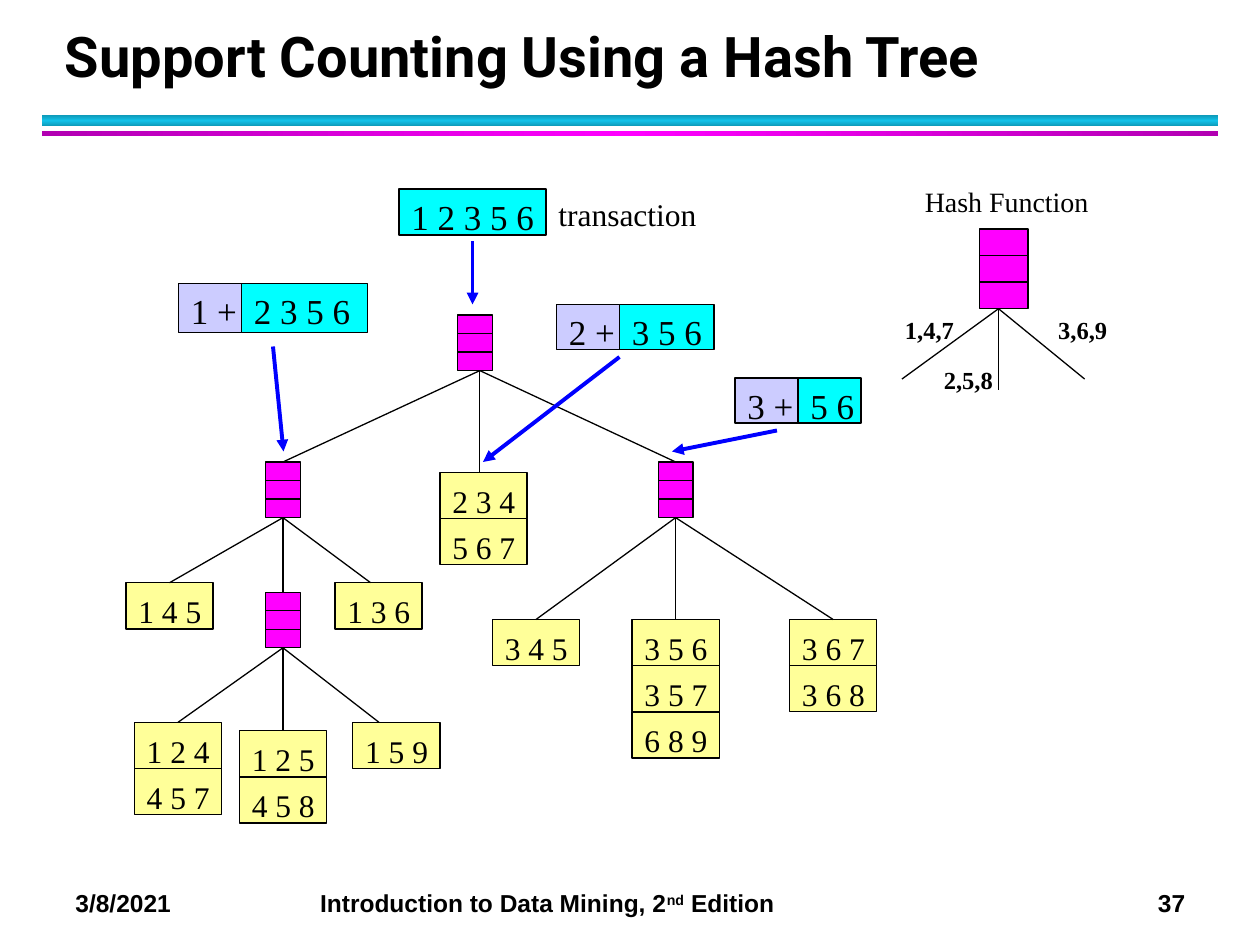
import copy

import pptx
import pptx.dml.color
import pptx.enum.shapes
import pptx.enum.text
import pptx.oxml
import pptx.oxml.ns
import pptx.util

BLACK = pptx.dml.color.RGBColor(0x00, 0x00, 0x00)
BLUE = pptx.dml.color.RGBColor(0x00, 0x00, 0xFF)
CYAN = pptx.dml.color.RGBColor(0x00, 0xFF, 0xFF)
LAVENDER = pptx.dml.color.RGBColor(0xCC, 0xCC, 0xFF)
MAGENTA = pptx.dml.color.RGBColor(0xFF, 0x00, 0xFF)
PURPLE = pptx.dml.color.RGBColor(0xB2, 0x00, 0xB2)
YELLOW = pptx.dml.color.RGBColor(0xFF, 0xFF, 0x99)
TEAL = pptx.dml.color.RGBColor(0x0E, 0x9B, 0xBA)
SKY = pptx.dml.color.RGBColor(0x12, 0xC2, 0xE9)

COLUMNS, ROWS = 120, 90
SLIDE_WIDTH, SLIDE_HEIGHT = pptx.util.Inches(10), pptx.util.Inches(7.5)
LEAF_WIDTH, LEAF_HEIGHT = 8.3, 4.4
NODE_WIDTH, NODE_HEIGHT = 3.3, 5.3
SERIF = "Times New Roman"

NODES = {"root": (31.6, 0), "left": (13.3, 14), "right": (50.7, 14), "lower": (13.3, 26.4)}
LEAVES = [
    (29.9, 15, ["2 3 4", "5 6 7"]),
    (0, 25.5, ["1 4 5"]),
    (19.9, 25.5, ["1 3 6"]),
    (34.9, 29, ["3 4 5"]),
    (48.2, 29, ["3 5 6", "3 5 7", "6 8 9"]),
    (63.2, 29, ["3 6 7", "3 6 8"]),
    (0.8, 38.8, ["1 2 4", "4 5 7"]),
    (10.8, 39.6, ["1 2 5", "4 5 8"]),
    (21.6, 38.8, ["1 5 9"]),
]
BRANCHES = [
    ("root", "left", 0.45, 0), ("root", "2 3 4", 0.45, -0.35), ("root", "right", 0.45, 0),
    ("left", "1 4 5", 0, 0), ("left", "lower", 0, 0), ("left", "1 3 6", 0, -0.75),
    ("right", "3 4 5", 0, 0), ("right", "3 5 6", 0, 0), ("right", "3 6 7", 0, 0),
    ("lower", "1 2 4", 0, 0), ("lower", "1 2 5", 0, 0), ("lower", "1 5 9", 0, -1.65),
]


def across(columns):
    return int(SLIDE_WIDTH * columns / COLUMNS)


def down(rows):
    return int(SLIDE_HEIGHT * rows / ROWS)


def place(box):
    left, top, width, height = box
    return across(left), down(top), across(width), down(height)


def add_box(slide, box, color):
    shape = slide.shapes.add_shape(pptx.enum.shapes.MSO_SHAPE.RECTANGLE, *place(box))
    shape.shadow.inherit = False
    shape.fill.solid()
    shape.fill.fore_color.rgb = color
    shape.line.color.rgb = BLACK
    shape.line.width = pptx.util.Pt(0.75)
    return shape


def add_text(slide, box, text, size, font=SERIF, bold=False, wrap=False):
    shape = slide.shapes.add_textbox(*place(box))
    frame = shape.text_frame
    frame.word_wrap = wrap
    frame.auto_size = pptx.enum.text.MSO_AUTO_SIZE.SHAPE_TO_FIT_TEXT
    paragraph = frame.paragraphs[0]
    paragraph.text = text
    set_font(paragraph, size, font, bold)
    return shape


def set_font(paragraph, size, font, bold):
    paragraph.font.size = pptx.util.Pt(size)
    paragraph.font.name = font
    paragraph.font.bold = bold
    paragraph.font.color.rgb = BLACK


def add_line(slide, start, end, color=BLACK, width=0.75):
    connector = slide.shapes.add_connector(
        pptx.enum.shapes.MSO_CONNECTOR.STRAIGHT,
        across(start[0]), down(start[1]), across(end[0]), down(end[1]))
    connector.line.color.rgb = color
    connector.line.width = pptx.util.Pt(width)
    properties = connector.element.spPr
    properties.append(pptx.oxml.parse_xml(f'<a:effectLst {pptx.oxml.ns.nsdecls("a")}/>'))
    return connector


def add_arrow(slide, start, end):
    connector = add_line(slide, start, end, BLUE, 2.25)
    outline = connector.line._get_or_add_ln()
    outline.append(pptx.oxml.parse_xml(
        f'<a:tailEnd {pptx.oxml.ns.nsdecls("a")} type="triangle"/>'))


def add_node(slide, box):
    left, top, width, height = box
    shape = add_box(slide, box, MAGENTA)
    for third in (1, 2):
        y = top + height * third / 3
        add_line(slide, (left, y), (left + width, y))
    return shape


def add_band(slide, box, edge, middle, angle):
    shape = add_box(slide, box, edge)
    shape.line.fill.background()
    shape.fill.gradient()
    shape.fill.gradient_angle = angle
    first = shape.element.spPr.find(".//" + pptx.oxml.ns.qn("a:gs"))
    first.addnext(copy.deepcopy(first))
    for stop, position, color in zip(shape.fill.gradient_stops, (0, 0.5, 1), (edge, middle, edge)):
        stop.position = position
        stop.color.rgb = color


def draw_header(slide, box):
    left, top, width, height = box
    add_band(slide, (left, top + 9, width, 1), TEAL, SKY, 90)
    add_band(slide, (left, top + 10.5, width, 0.5), PURPLE, MAGENTA, 0)
    title = add_text(slide, (left + 1, top, width - 3.3, 7),
                     "Support Counting Using a Hash Tree", 32, "Roboto", True, True)
    title.text_frame.auto_size = pptx.enum.text.MSO_AUTO_SIZE.NONE
    title.text_frame.vertical_anchor = pptx.enum.text.MSO_ANCHOR.BOTTOM
    title.text_frame.paragraphs[0].line_spacing = pptx.util.Pt(36)


def draw_footer(slide, box):
    shape = add_text(slide, box, "", 14, "Arial", True, True)
    paragraph = shape.text_frame.paragraphs[0]
    for text in ("3/8/2021\tIntroduction to Data Mining, 2", "nd", " Edition\t37"):
        run = paragraph.add_run()
        run.text = text
        if text == "nd":
            run.font._element.set("baseline", "30000")
    stops = "".join(f'<a:tab pos="{across(column)}" algn="l"/>' for column in (23.3, 103.1))
    properties = paragraph._p.get_or_add_pPr()
    properties.insert(0, pptx.oxml.parse_xml(
        f'<a:tabLst {pptx.oxml.ns.nsdecls("a")}>{stops}</a:tabLst>'))


def draw_tree(slide, box):
    left, top = box[:2]
    parts = {name: add_node(slide, (left + x, top + y, NODE_WIDTH, NODE_HEIGHT))
             for name, (x, y) in NODES.items()}
    centers = {name: (left + x + NODE_WIDTH / 2, top + y) for name, (x, y) in NODES.items()}
    for x, y, itemsets in LEAVES:
        for row, itemset in enumerate(itemsets):
            leaf = (left + x, top + y + row * LEAF_HEIGHT, LEAF_WIDTH, LEAF_HEIGHT)
            parts[itemset] = add_box(slide, leaf, YELLOW)
            centers[itemset] = (leaf[0] + LEAF_WIDTH / 2, leaf[1])
            add_text(slide, (leaf[0], leaf[1] + 0.3, 8.4, 4.8), itemset, 18)
    for parent, child, start_shift, end_shift in BRANCHES:
        (start_x, start_y), (end_x, end_y) = centers[parent], centers[child]
        branch = add_line(slide, (start_x + start_shift, start_y + NODE_HEIGHT),
                          (end_x + end_shift, end_y))
        if not start_shift:
            branch.begin_connect(parts[parent], 2)
        if not end_shift:
            branch.end_connect(parts[child], 0)


def draw_items(slide, box, text, color):
    left, top = box[:2]
    add_box(slide, box, color)
    digits = len(text.split())
    width = 6.8 if "+" in text else 2.5 * digits + 1.8
    add_text(slide, (left, top, width, 5.1), text, 20)


def draw_query(slide, box, prefix, rest):
    left, top, width, height = box
    draw_items(slide, (left + 6, top, width - 6, height), rest, CYAN)
    draw_items(slide, (left, top, 6, height), prefix, LAVENDER)


def draw_hash_function(slide, box):
    left, top = box[:2]
    add_text(slide, (left + 1.9, top, 18.1, 4.4), "Hash Function", 16)
    add_node(slide, (left + 8.3, top + 4.8, 4.6, 7.6))
    for x, y in ((0.9, 19.1), (10.1, 20.1), (18.3, 19.1)):
        add_line(slide, (left + 10.1, top + 12.4), (left + x, top + y))
    for x, y, text in ((0, 12.4, "1,4,7"), (3.7, 17.2, "2,5,8"), (14.6, 12.4, "3,6,9")):
        add_text(slide, (left + x, top + y, 7.1, 4), text, 14, bold=True)


def main():
    presentation = pptx.Presentation()
    presentation.slide_width, presentation.slide_height = SLIDE_WIDTH, SLIDE_HEIGHT
    slide = presentation.slides.add_slide(presentation.slide_layouts[6])
    draw_header(slide, (4, 2, 112, 11))
    draw_footer(slide, (6, 84, 112, 4.1))
    draw_tree(slide, (12, 30, 71.5, 48.4))
    draw_items(slide, (38, 18, 14, 4.4), "1 2 3 5 6", CYAN)
    add_text(slide, (52, 18, 15.6, 4.8), "transaction", 18)
    for start, end in (((45, 23), (45, 29)), ((26, 33), (27, 43)),
                       ((59, 34), (46, 44)), ((74, 41), (64, 43))):
        add_arrow(slide, start, end)
    draw_query(slide, (17, 27, 18, 4.7), "1 +", "2 3 5 6")
    draw_query(slide, (53, 29, 15, 4.3), "2 +", "3 5 6")
    draw_query(slide, (70, 36, 12, 4.3), "3 +", "5 6")
    draw_hash_function(slide, (85, 17, 21.7, 20.1))
    presentation.save("out.pptx")


if __name__ == "__main__":
    main()
